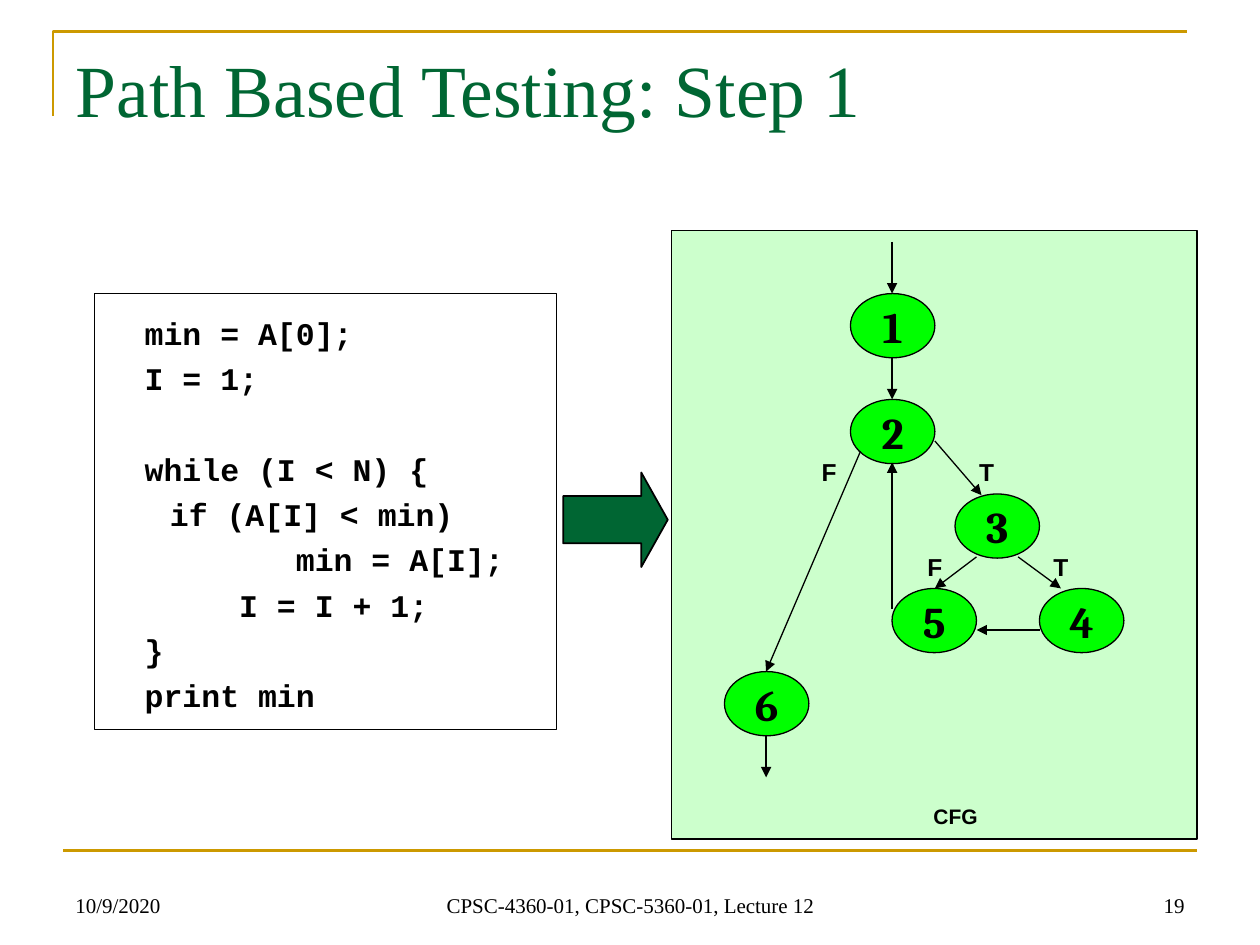
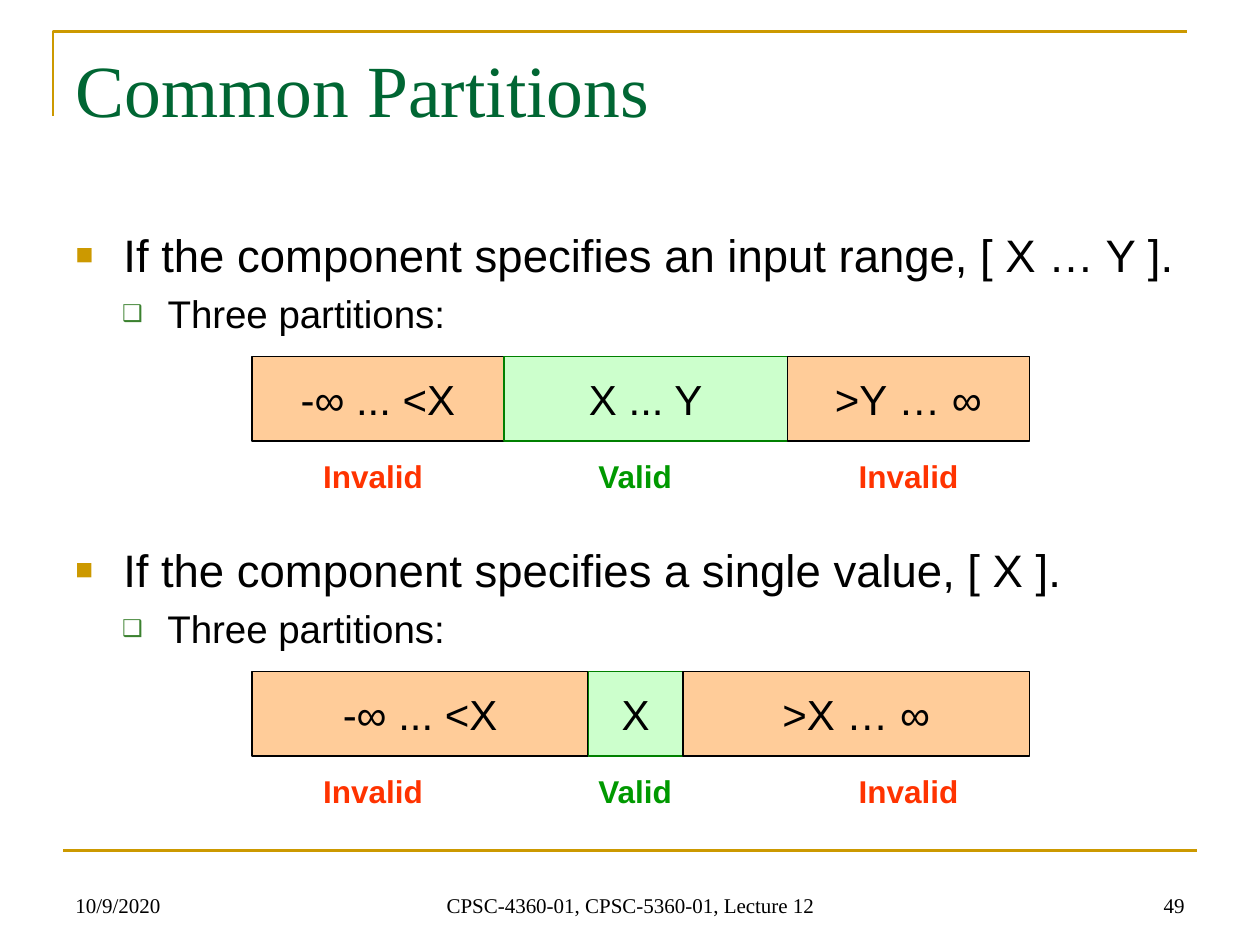
from lxml import etree
from pptx import Presentation
from pptx.dml.color import RGBColor
from pptx.enum.shapes import MSO_CONNECTOR, MSO_SHAPE
from pptx.enum.text import MSO_ANCHOR, MSO_AUTO_SIZE, PP_ALIGN
from pptx.oxml.ns import qn
from pptx.util import Inches, Pt

LEFT, CENTER, RIGHT = PP_ALIGN.LEFT, PP_ALIGN.CENTER, PP_ALIGN.RIGHT
TOP, MIDDLE, BOTTOM = MSO_ANCHOR.TOP, MSO_ANCHOR.MIDDLE, MSO_ANCHOR.BOTTOM
STRAIGHT = MSO_CONNECTOR.STRAIGHT
RECTANGLE, OVAL, ARROW = MSO_SHAPE.RECTANGLE, MSO_SHAPE.OVAL, MSO_SHAPE.RIGHT_ARROW

BLACK, GOLD, DARK_GREEN = "000000", "CC9900", "006633"
PALE_GREEN, NODE_GREEN, BORDER_GREEN = "CCFFCC", "00FF00", "008000"
ORANGE, VALID_GREEN, INVALID_RED = "FFCC99", "009900", "FF3300"
SERIF, SANS, MONO, NODE_FONT = "Times New Roman", "Arial", "Courier New", "Cambria"


def write(shape, lines, size, font=SANS, color=BLACK, bold=False,
          align=LEFT, anchor=TOP, wrap=True):
    """Put lines of text in a shape, one paragraph each."""
    frame = shape.text_frame
    frame.auto_size = MSO_AUTO_SIZE.NONE
    frame.word_wrap = wrap
    frame.vertical_anchor = anchor
    for index, line in enumerate(lines):
        paragraph = frame.add_paragraph() if index else frame.paragraphs[0]
        paragraph.alignment = align
        run = paragraph.add_run()
        run.text = line
        run.font.size = Pt(size)
        run.font.name = font
        run.font.bold = bold
        run.font.color.rgb = RGBColor.from_string(color)


def paint(shape, line, width, fill=None, arrow=False):
    """Set line and fill, without shadow; fill is for closed shapes."""
    shape.line.color.rgb = RGBColor.from_string(line)
    shape.line.width = Pt(width)
    if hasattr(shape, "begin_x"):
        etree.SubElement(shape._element.spPr, qn("a:effectLst"))
    else:
        shape.shadow.inherit = False
        if fill:
            shape.fill.solid()
            shape.fill.fore_color.rgb = RGBColor.from_string(fill)
        else:
            shape.fill.background()
    if arrow:
        etree.SubElement(shape.line._get_or_add_ln(), qn("a:tailEnd"), type="triangle")


presentation = Presentation()
presentation.slide_width = Inches(10)
presentation.slide_height = Inches(7.5)

# Shared frame, title and footer; layout 5 is title only, 1 adds a body
slides = []
for layout, title_text, number in [(5, "Path Based Testing: Step 1", "19"),
                                   (1, "Common Partitions", "49")]:
    slide = presentation.slides.add_slide(presentation.slide_layouts[layout])
    slides.append(slide)

    builder = slide.shapes.build_freeform(Inches(0.42), Inches(0.92))
    builder.add_line_segments([(Inches(0.42), Inches(0.25)),
                               (Inches(9.42), Inches(0.25))], close=False)
    paint(builder.convert_to_shape(), GOLD, 1.5)
    rule = slide.shapes.add_connector(STRAIGHT, Inches(0.5), Inches(6.75),
                                      Inches(9.5), Inches(6.75))
    paint(rule, GOLD, 1.5)

    title = slide.shapes.title
    title.left, title.top = Inches(0.5), Inches(0.3)
    title.width, title.height = Inches(9), Inches(1.25)
    write(title, [title_text], 42, SERIF, DARK_GREEN)

    for left, width, text, align in [
            (0.5, 2.33, "10/9/2020", LEFT),
            (3.42, 3.17, "CPSC-4360-01, CPSC-5360-01, Lecture 12", CENTER),
            (7.17, 2.33, number, RIGHT)]:
        footer = slide.shapes.add_textbox(Inches(left), Inches(6.83),
                                          Inches(width), Inches(0.5))
        write(footer, [text], 12, SERIF, align=align, anchor=BOTTOM)

flow_slide, partition_slide = slides

# Slide 1: program code
shapes = flow_slide.shapes
code = [
    "  min = A[0];",
    "  I = 1;",
    "",
    "  while (I < N) {",
    "\tif (A[I] < min)",
    "          min = A[I];",
    "       I = I + 1;",
    "  }",
    "  print min",
]
code_box = shapes.add_shape(RECTANGLE, Inches(0.75), Inches(2.33), Inches(3.67), Inches(3.46))
paint(code_box, BLACK, 0.75)
write(code_box, code, 18, MONO, bold=True)
code_frame = code_box.text_frame
code_frame.margin_top = code_frame.margin_bottom = Inches(0.1)
for paragraph in code_frame.paragraphs:
    paragraph.line_spacing = 1.2

# Slide 1: control flow graph panel and the arrow leading to it
panel = shapes.add_shape(RECTANGLE, Inches(5.33), Inches(1.83), Inches(4.17), Inches(4.83))
paint(panel, BLACK, 1, PALE_GREEN)
step_arrow = shapes.add_shape(ARROW, Inches(4.47), Inches(3.75), Inches(0.83), Inches(0.75))
step_arrow.adjustments[1] = 0.28
paint(step_arrow, BLACK, 1, DARK_GREEN)

# Slide 1: graph nodes
for name, left, top in [("1", 6.75, 2.33), ("2", 6.75, 3.17), ("3", 7.58, 3.92),
                        ("4", 8.25, 4.67), ("5", 7.08, 4.67), ("6", 5.75, 5.33)]:
    node = shapes.add_shape(OVAL, Inches(left), Inches(top), Inches(0.67), Inches(0.51))
    paint(node, BLACK, 0.75, NODE_GREEN)
    write(node, [name], 25, NODE_FONT, bold=True, align=CENTER, anchor=MIDDLE, wrap=False)

# Slide 1: graph edges
for start_x, start_y, end_x, end_y in [
        (7.08, 1.92, 7.08, 2.33),  # entry to 1
        (7.08, 2.83, 7.08, 3.17),  # 1 to 2
        (7.42, 3.5, 7.79, 3.93),   # 2 to 3
        (6.83, 3.58, 6.08, 5.33),  # 2 to 6
        (8.08, 4.42, 8.42, 4.67),  # 3 to 4
        (7.75, 4.42, 7.42, 4.67),  # 3 to 5
        (8.25, 5, 7.75, 5),        # 4 to 5
        (7.08, 4.83, 7.08, 3.67),  # 5 to 2
        (6.08, 5.83, 6.08, 6.17)]:  # 6 to exit
    edge = shapes.add_connector(STRAIGHT, Inches(start_x), Inches(start_y),
                                Inches(end_x), Inches(end_y))
    paint(edge, BLACK, 0.75, arrow=True)

# Slide 1: branch labels and caption
for text, left, top, width, height, size in [
        ("T", 7.58, 3.58, 0.5, 0.33, 14), ("F", 6.33, 3.58, 0.5, 0.33, 14),
        ("T", 8.17, 4.33, 0.5, 0.33, 14), ("F", 7.17, 4.33, 0.5, 0.33, 14),
        ("CFG", 7.25, 6.33, 0.67, 0.3, 12)]:
    label = shapes.add_textbox(Inches(left), Inches(top), Inches(width), Inches(height))
    write(label, [text], size, bold=True, align=CENTER)

# Slide 2: two cases, each a list, a bar of three partitions and their labels
shapes = partition_slide.shapes
first_list = partition_slide.placeholders[1]
first_list.left, first_list.top = Inches(0.5), Inches(1.75)
first_list.width, first_list.height = Inches(9), Inches(1.08)
second_list = shapes.add_textbox(Inches(0.5), Inches(4.25), Inches(9.25), Inches(1.08))

bullet_levels = [("■", GOLD, "65000", 26, 0.38, -0.38, 0),
                 ("❑", "3B812F", "60000", 22, 0.73, -0.36, 5)]
cases = [
    (first_list, "If the component specifies an input range, [ X … Y ].", 2.83,
     [("-∞ ... <X", 2), ("X ... Y", 2.25), (">Y … ∞", 1.92)]),
    (second_list, "If the component specifies a single value, [ X ].", 5.33,
     [("-∞ ... <X", 2.67), ("X", 0.75), (">X … ∞", 2.75)]),
]
fills = [ORANGE, PALE_GREEN, ORANGE]
borders = [BLACK, BORDER_GREEN, BLACK]
verdicts = [("Invalid", 2.25, INVALID_RED), ("Valid", 4.33, VALID_GREEN),
            ("Invalid", 6.5, INVALID_RED)]

for list_box, statement, bar_top, partitions in cases:
    write(list_box, [statement, "Three partitions:"], 26)
    for level, paragraph in enumerate(list_box.text_frame.paragraphs):
        mark, color, percent, size, margin, indent, space = bullet_levels[level]
        paragraph.level = level
        properties = paragraph._p.get_or_add_pPr()
        properties.set("marL", str(Inches(margin)))
        properties.set("indent", str(Inches(indent)))
        bullet_color = etree.SubElement(properties, qn("a:buClr"))
        etree.SubElement(bullet_color, qn("a:srgbClr"), val=color)
        etree.SubElement(properties, qn("a:buSzPct"), val=percent)
        etree.SubElement(properties, qn("a:buFont"), typeface=SANS)
        etree.SubElement(properties, qn("a:buChar"), char=mark)
        paragraph.space_before = Pt(space)
        paragraph.runs[0].font.size = Pt(size)

    left = 2
    for (text, width), fill, border in zip(partitions, fills, borders):
        partition = shapes.add_shape(RECTANGLE, Inches(left), Inches(bar_top),
                                     Inches(width), Inches(0.67))
        paint(partition, border, 1, fill)
        write(partition, [text], 24, align=CENTER, anchor=MIDDLE, wrap=False)
        left += width

    for text, label_left, color in verdicts:
        verdict = shapes.add_textbox(Inches(label_left), Inches(bar_top + 0.75),
                                     Inches(1.42), Inches(0.4))
        write(verdict, [text], 18, color=color, bold=True, align=CENTER)

presentation.save("out.pptx")
